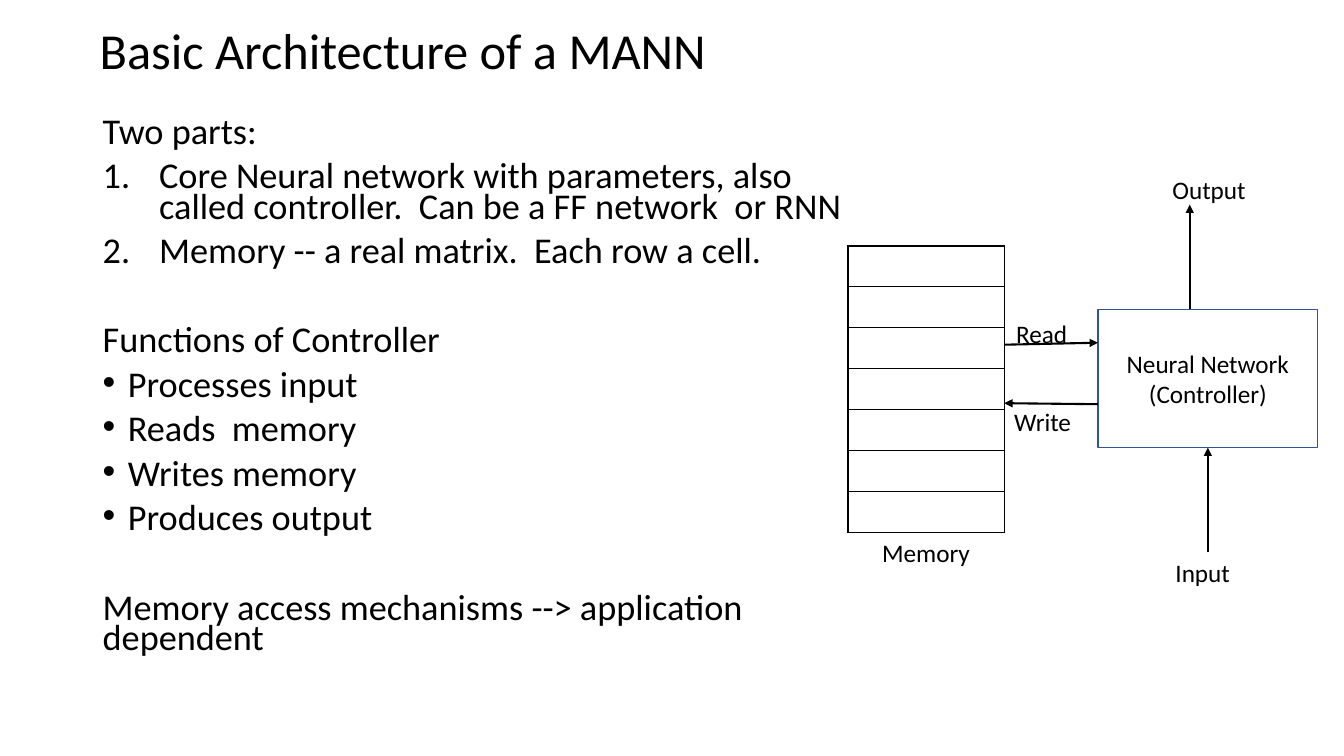
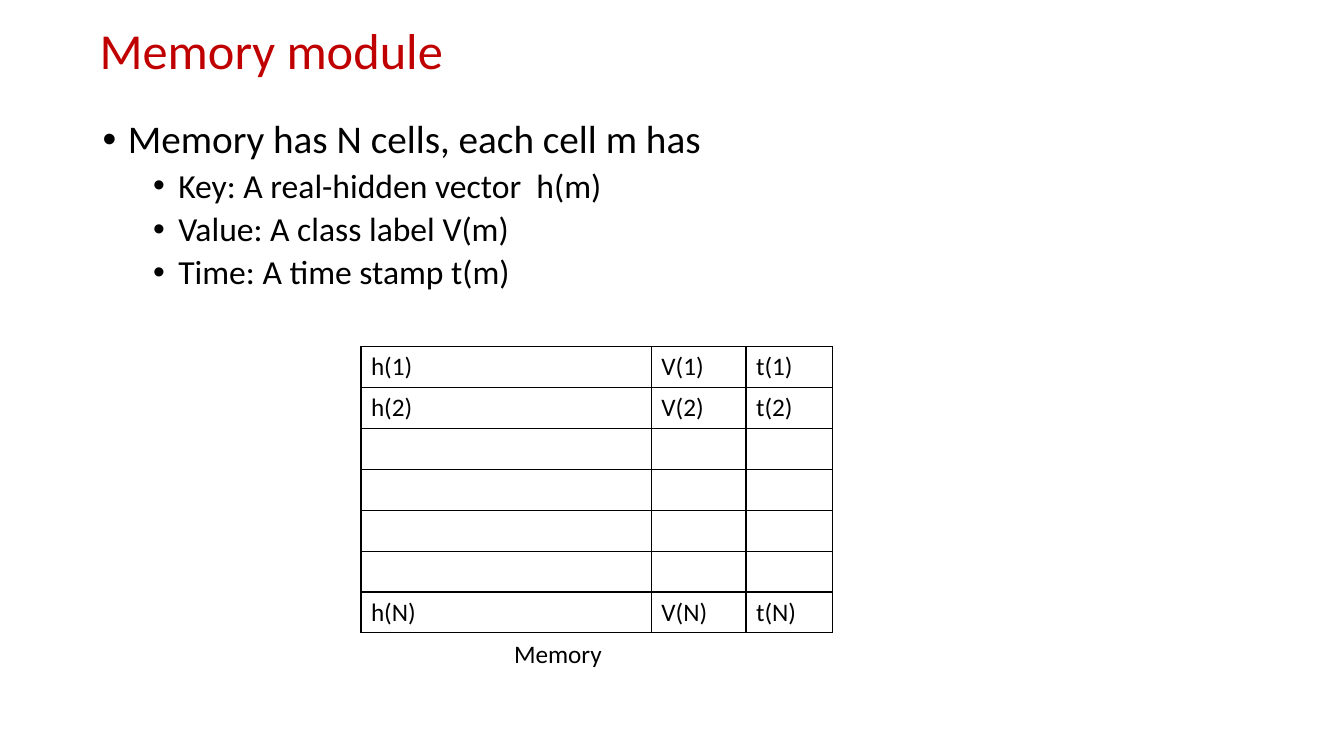
from lxml import etree
from pptx import Presentation, util as u
from pptx.dml.color import RGBColor
from pptx.enum import shapes, text
from pptx.oxml.ns import qn

COLORS = {"ink": "000000", "red": "C00000", "box": "325491"}
FONT = "Calibri"
ROW_H = 2.84 / 7
TITLE_BOX = (0.89, 0, 11.5, 1.06)


def write(sp, lines, size=18, color="ink", align="LEFT", anchor="TOP", spacing=1, wrap=True):
    """Fill sp with lines of (text, space before, left indent, hanging indent, bullet, size)."""
    tf = sp.text_frame
    tf.word_wrap = wrap
    tf.vertical_anchor = text.MSO_ANCHOR[anchor]
    for i, line in enumerate(lines):
        words, before, left, hang, bullet, own_size = line + ("", 0, 0, 0, "", None)[len(line):]
        p = tf.add_paragraph() if i else tf.paragraphs[0]
        p.alignment = text.PP_ALIGN[align]
        p.line_spacing = spacing
        p.space_before = u.Pt(before)
        r = p.add_run()
        r.text = words
        r.font.name = FONT
        r.font.size = u.Pt(own_size or size)
        r.font.color.rgb = RGBColor.from_string(COLORS[color])
        if bullet:
            pPr = p._p.get_or_add_pPr()
            pPr.set("marL", str(u.Inches(left)))
            pPr.set("indent", str(u.Inches(-hang)))
            if bullet == "1.":
                etree.SubElement(pPr, qn("a:buAutoNum"), type="arabicPeriod")
            else:
                etree.SubElement(pPr, qn("a:buFont"), typeface="Arial")
                etree.SubElement(pPr, qn("a:buChar"), char=bullet)


def add_grid(s, left, top, widths, rows):
    """Add an unfilled table with thin black borders on every cell."""
    frame = s.shapes.add_table(len(rows), len(widths), u.Inches(left), u.Inches(top),
                               u.Inches(sum(widths)), u.Inches(ROW_H * len(rows)))
    table = frame.table
    table.first_row = table.horz_banding = False
    for column, width in zip(table.columns, widths):
        column.width = u.Inches(width)
    for i, row in enumerate(rows):
        table.rows[i].height = u.Inches(ROW_H)
        for j, words in enumerate(row):
            cell = table.cell(i, j)
            cell.fill.background()
            if words:
                write(cell, [(words,)])
            tcPr = cell._tc.get_or_add_tcPr()
            for k, side in enumerate(("lnL", "lnR", "lnT", "lnB")):
                ln = etree.Element(qn("a:" + side), w=str(u.Pt(1)))
                fill = etree.SubElement(ln, qn("a:solidFill"))
                etree.SubElement(fill, qn("a:srgbClr"), val=COLORS["ink"])
                tcPr.insert(k, ln)


prs = Presentation()
prs.slide_width, prs.slide_height = u.Inches(13.33), u.Inches(7.5)

architecture_body = [
    ("Two parts:", 10),
    ("Core Neural network with parameters, also called controller.  Can be a FF network  or RNN",
     10, 0.56, 0.56, "1."),
    ("Memory -- a real matrix.  Each row a cell.", 10, 0.56, 0.56, "1."),
    ("Functions of Controller", 42),
    *[(words, 10, 0.25, 0.25, "•") for words in
      ("Processes input", "Reads  memory", "Writes memory", "Produces output")],
    ("Memory access mechanisms --> application dependent", 42),
]
module_body = [
    ("Memory has N cells, each cell m has", 10, 0.25, 0.25, "•", 28),
    *[(words, 5, 0.75, 0.25, "•") for words in
      ("Key: A real-hidden vector  h(m)", "Value: A class label V(m)", "Time: A time stamp t(m)")],
]

# Titles, body text and captions
pages = [
    ("Basic Architecture of a MANN", "ink", architecture_body, 7.95, 25.9, 0.7,
     [("Memory", 8.65, 5.28, 1.08), ("Read", 9.98, 3.11, 0.71), ("Write", 9.96, 3.98, 0.77),
      ("Input", 11.56, 5.48, 0.75), ("Output", 11.53, 1.68, 0.94)]),
    ("Memory module", "red", module_body, 7.28, 24, 0.9, [("Memory", 5, 6.28, 2.44)]),
]
slides = []
for title, color, body, width, size, spacing, captions in pages:
    s = prs.slides.add_slide(prs.slide_layouts[6])
    slides.append(s)
    tb = s.shapes.add_textbox(*map(u.Inches, TITLE_BOX))
    write(tb, [(title,)], 36, color, anchor="MIDDLE", spacing=0.9)
    tb = s.shapes.add_textbox(*map(u.Inches, (0.92, 1.14, width, 5.62)))
    write(tb, body, size, spacing=spacing)
    for words, x, y, w in captions:
        tb = s.shapes.add_textbox(*map(u.Inches, (x, y, w, 0.4)))
        write(tb, [(words,)], wrap=False)
architecture, module = slides

# Architecture diagram
add_grid(architecture, 8.41, 2.44, [1.55], [[""]] * 7)
controller = architecture.shapes.add_shape(
    shapes.MSO_SHAPE.RECTANGLE, *map(u.Inches, (10.89, 3.07, 2.18, 1.37)))
controller.shadow.inherit = False
controller.fill.background()
controller.line.color.rgb = RGBColor.from_string(COLORS["box"])
controller.line.width = u.Pt(1)
write(controller, [("Neural Network",), ("(Controller)",)], align="CENTER", anchor="MIDDLE")

arrows = [
    (9.96, 3.42, 10.89, 3.4),  # read
    (10.89, 4.01, 9.96, 4),  # write
    (11.98, 5.48, 11.98, 4.44),  # input
    (11.8, 3.07, 11.8, 2.03),  # output
]
for ends in arrows:
    arrow = architecture.shapes.add_connector(
        shapes.MSO_CONNECTOR.STRAIGHT, *map(u.Inches, ends))
    arrow.line.color.rgb = RGBColor.from_string(COLORS["ink"])
    arrow.line.width = u.Pt(1.5)
    etree.SubElement(arrow.line._get_or_add_ln(), qn("a:tailEnd"), type="triangle")
    etree.SubElement(arrow._element.spPr, qn("a:effectLst"))

# Memory cells: key, value, time
cells = [[f"{field}({n})" if n else "" for field in "hVt"]
         for n in ("1", "2", "", "", "", "", "N")]
add_grid(module, 3.58, 3.44, [2.88, 0.94, 0.86], cells)

prs.save("out.pptx")
